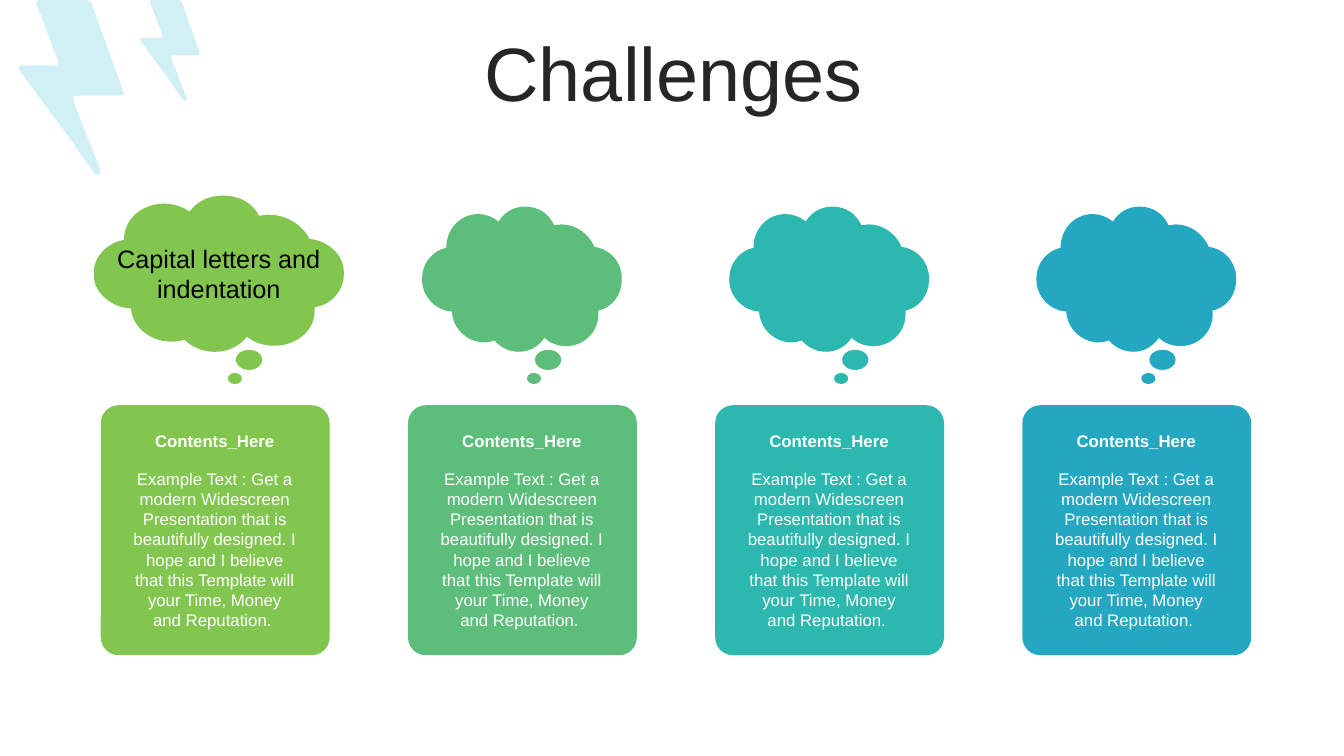
from lxml import etree
from pptx import Presentation
from pptx.dml.color import RGBColor
from pptx.enum.shapes import MSO_SHAPE
from pptx.enum.text import MSO_ANCHOR, MSO_AUTO_SIZE, PP_ALIGN
from pptx.oxml.ns import qn
from pptx.util import Inches, Pt

OVAL = MSO_SHAPE.OVAL
ROUNDED = MSO_SHAPE.ROUNDED_RECTANGLE
MIDDLE = MSO_ANCHOR.MIDDLE
TOP = MSO_ANCHOR.TOP
NO_FIT = MSO_AUTO_SIZE.NONE
GROW = MSO_AUTO_SIZE.SHAPE_TO_FIT_TEXT
CENTER = PP_ALIGN.CENTER

PALE_BLUE = RGBColor(0xD0, 0xF0, 0xF6)
DARK = RGBColor(0x26, 0x26, 0x26)
BLACK = RGBColor(0x00, 0x00, 0x00)
WHITE = RGBColor(0xFF, 0xFF, 0xFF)
LIME = RGBColor(0x82, 0xC6, 0x50)
GREEN = RGBColor(0x5C, 0xBE, 0x7A)
TEAL = RGBColor(0x2C, 0xB8, 0xAE)
BLUE = RGBColor(0x24, 0xA8, 0xC2)

BOLT_SIZE = (1.03, 1.73)
BOLT_CURVES = [
    (0.51, 0, 0.58, 0, 0.66, 0),
    (0.69, 0, 0.71, 0.01, 0.72, 0.04),
    (0.82, 0.33, 0.93, 0.61, 1.03, 0.9),
    (1.05, 0.93, 1.03, 0.95, 0.99, 0.95),
    (0.86, 0.95, 0.72, 0.95, 0.59, 0.95),
    (0.53, 0.95, 0.52, 0.96, 0.54, 1.01),
    (0.63, 1.23, 0.71, 1.45, 0.8, 1.67),
    (0.8, 1.68, 0.8, 1.68, 0.8, 1.69),
    (0.81, 1.71, 0.81, 1.72, 0.79, 1.73),
    (0.77, 1.74, 0.76, 1.73, 0.75, 1.72),
    (0.68, 1.62, 0.6, 1.52, 0.53, 1.41),
    (0.36, 1.18, 0.19, 0.95, 0.02, 0.72),
    (0.01, 0.7, -0.01, 0.69, 0, 0.66),
    (0.02, 0.64, 0.04, 0.65, 0.05, 0.65),
    (0.15, 0.65, 0.24, 0.65, 0.34, 0.65),
    (0.39, 0.65, 0.4, 0.63, 0.38, 0.59),
    (0.31, 0.41, 0.25, 0.24, 0.18, 0.06),
    (0.16, 0.01, 0.17, 0, 0.22, 0),
    (0.29, 0, 0.37, 0, 0.44, 0),
]
CLOUD_SIZE = (2.48, 1.55)
CLOUD_CURVES = [
    (1.45, 0, 1.58, 0.08, 1.64, 0.2),
    (1.67, 0.2, 1.7, 0.19, 1.73, 0.19),
    (1.91, 0.19, 2.07, 0.29, 2.14, 0.43),
    (2.33, 0.45, 2.48, 0.59, 2.48, 0.76),
    (2.48, 0.77, 2.48, 0.78, 2.48, 0.79),
    (2.48, 0.94, 2.36, 1.08, 2.19, 1.11),
    (2.19, 1.12, 2.19, 1.14, 2.19, 1.15),
    (2.19, 1.34, 2.01, 1.49, 1.79, 1.49),
    (1.69, 1.49, 1.59, 1.46, 1.52, 1.4),
    (1.45, 1.49, 1.34, 1.55, 1.2, 1.55),
    (1.08, 1.55, 0.97, 1.5, 0.9, 1.43),
    (0.86, 1.44, 0.82, 1.45, 0.77, 1.45),
    (0.56, 1.45, 0.38, 1.3, 0.37, 1.12),
    (0.17, 1.11, 0, 0.96, 0, 0.79),
    (0, 0.78, 0, 0.77, 0, 0.76),
    (0, 0.61, 0.13, 0.47, 0.3, 0.44),
    (0.3, 0.24, 0.47, 0.08, 0.7, 0.08),
    (0.79, 0.08, 0.88, 0.11, 0.95, 0.16),
    (1.02, 0.06, 1.14, 0, 1.28, 0),
]

deck = Presentation()
deck.slide_width = Inches(13.33)
deck.slide_height = Inches(7.5)
page = deck.slides.add_slide(deck.slide_layouts[5])


def add_outline(curves, size, left, top, width, height, color):
    scaled = [[Inches(value * (width / size[0], height / size[1])[index % 2])
               for index, value in enumerate(curve)] for curve in curves]
    ends = [(Inches(left) + curve[4], Inches(top) + curve[5]) for curve in scaled]
    builder = page.shapes.build_freeform(*ends[-1])
    builder.add_line_segments(ends, close=True)
    outline = builder.convert_to_shape()
    for segment, curve in zip(list(outline.element.iter(qn("a:lnTo"))), scaled):
        bezier = etree.Element(qn("a:cubicBezTo"))
        for x, y in zip(curve[::2], curve[1::2]):
            etree.SubElement(bezier, qn("a:pt"), x=str(int(x)), y=str(int(y)))
        segment.getparent().replace(segment, bezier)
    outline.shadow.inherit = False
    outline.fill.solid()
    outline.fill.fore_color.rgb = color
    outline.line.fill.background()
    return outline


def write(box, text, size, color, bold=False, anchor=TOP, fit=NO_FIT):
    frame = box.text_frame
    frame.text = text
    frame.word_wrap = True
    frame.auto_size = fit
    frame.vertical_anchor = anchor
    para = frame.paragraphs[0]
    para.alignment = CENTER
    font = para.runs[0].font
    font.name = "Arial"
    font.size = Pt(size)
    font.bold = bold
    font.color.rgb = color


for left, width, height in [(0.19, 1.03, 1.73), (1.39, 0.59, 1)]:
    add_outline(BOLT_CURVES, BOLT_SIZE, left, 0, width, height, PALE_BLUE)

title = page.shapes.title
title.left, title.top = Inches(0.35), Inches(0.37)
title.width, title.height = Inches(12.66), Inches(0.79)
write(title, "Challenges", 54, DARK, anchor=MIDDLE)
title.text_frame.paragraphs[0].line_spacing = 0.9

body_text = ("Example Text : Get a modern Widescreen Presentation that is "
             "beautifully designed. I hope and I believe that this Template "
             "will your Time, Money and Reputation. ")
column_pitch = 9.14 / 3

for column, color in enumerate([LIME, GREEN, TEAL, BLUE]):
    left = 1 + column * column_pitch
    if column == 0:
        cloud = add_outline(CLOUD_CURVES, CLOUD_SIZE, left - 0.07, 1.94, 2.48, 1.55, color)
        write(cloud, "Capital letters and indentation", 18, BLACK, anchor=MIDDLE)
        bubble_left = left + 1.34
    else:
        add_outline(CLOUD_CURVES, CLOUD_SIZE, left + 0.14, 2.05, 1.98, 1.44, color)
        bubble_left = left + 1.26

    for preset, x, y, width, height in [
        (OVAL, bubble_left, 3.47, 0.26, 0.2),
        (OVAL, bubble_left - 0.08, 3.7, 0.14, 0.11),
        (ROUNDED, left, 4.02, 2.27, 2.48),
    ]:
        shape = page.shapes.add_shape(preset, Inches(x), Inches(y), Inches(width), Inches(height))
        shape.shadow.inherit = False
        shape.fill.solid()
        shape.fill.fore_color.rgb = color
        shape.line.fill.background()
        if preset == ROUNDED:
            shape.adjustments[0] = 0.078

    for text, top, height, bold in [(body_text, 4.6, 1.72, False),
                                    ("Contents_Here", 4.22, 0.3, True)]:
        box = page.shapes.add_textbox(Inches(left + 0.22), Inches(top), Inches(1.82), Inches(height))
        write(box, text, 12, WHITE, bold, fit=GROW)

deck.save("out.pptx")
